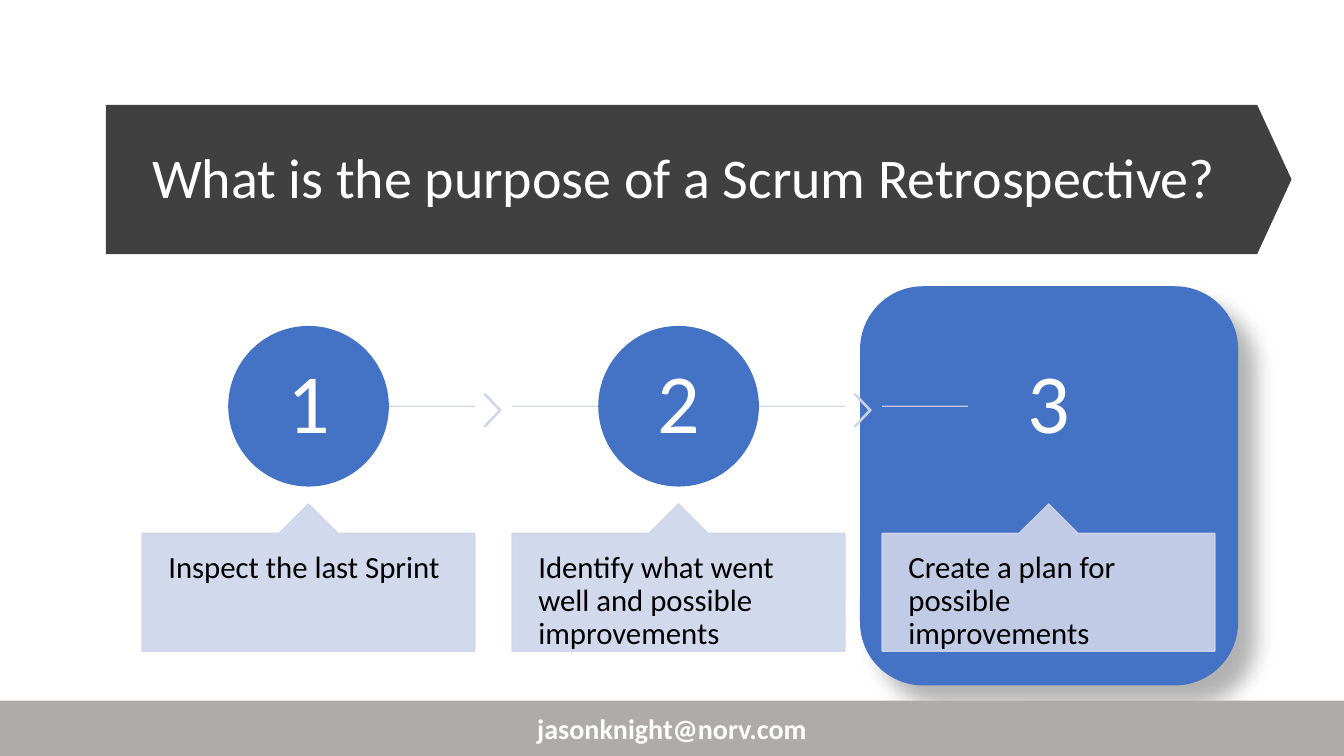
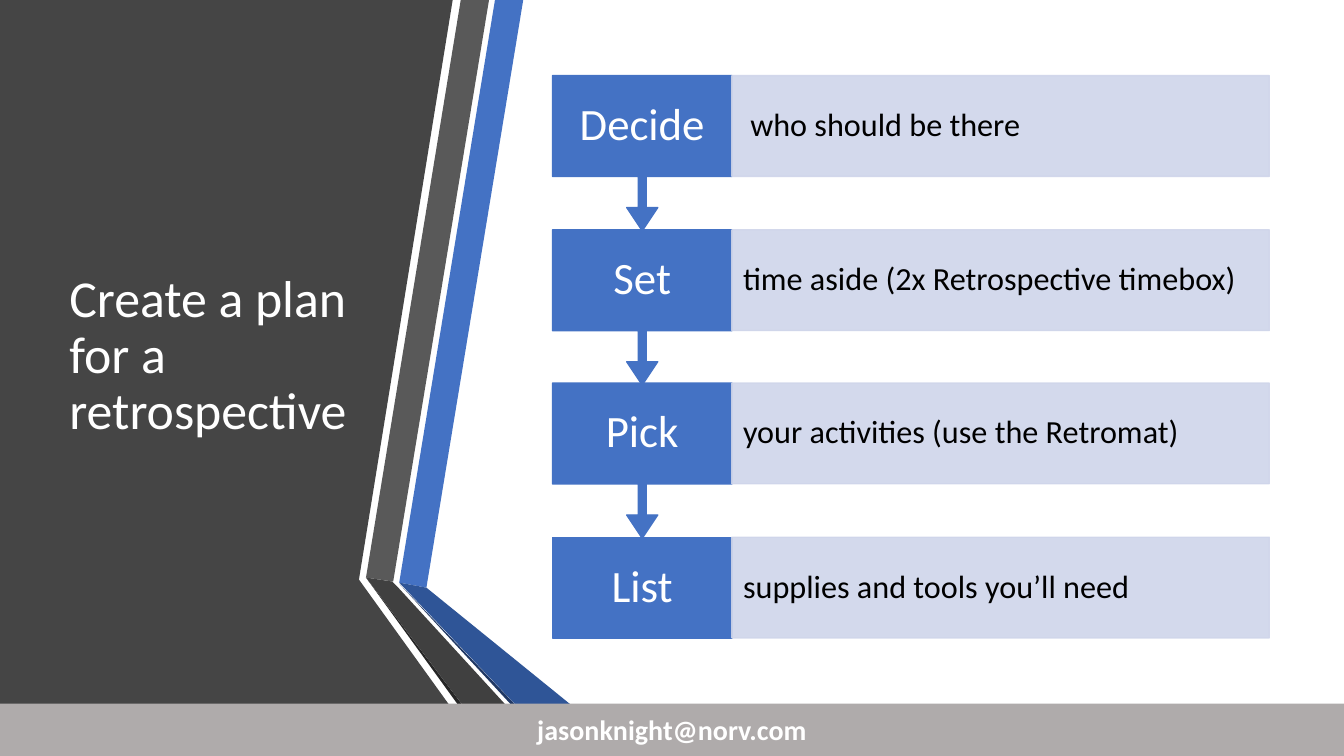
from typing import NamedTuple

from lxml import etree
from pptx import Presentation
from pptx.dml.color import RGBColor
from pptx.enum.shapes import MSO_CONNECTOR, MSO_SHAPE
from pptx.enum.text import MSO_ANCHOR, PP_ALIGN
from pptx.oxml.ns import qn
from pptx.util import Emu, Pt

PX = 9144  # EMU per px, 100 px to the inch
WIDTH, HEIGHT = 1333, 750

FONT = "Calibri"
EMAIL = "jasonknight@norv.com"

WHITE = RGBColor(0xFF, 0xFF, 0xFF)
BLACK = RGBColor(0x00, 0x00, 0x00)
BLUE = RGBColor(0x44, 0x72, 0xC4)
DEEP_BLUE = RGBColor(0x2F, 0x55, 0x97)
NAVY = RGBColor(0x20, 0x38, 0x64)
PALE_BLUE = RGBColor(0xCF, 0xD5, 0xEA)
FOOTER_GREY = RGBColor(0xAF, 0xAB, 0xAB)
PANEL_GREY = RGBColor(0x45, 0x45, 0x45)
BAND_GREY = RGBColor(0x59, 0x59, 0x59)
DARK_GREY = RGBColor(0x40, 0x40, 0x40)
NEAR_BLACK = RGBColor(0x26, 0x26, 0x26)

RECT = MSO_SHAPE.RECTANGLE
ROUND_RECT = MSO_SHAPE.ROUNDED_RECTANGLE
OVAL = MSO_SHAPE.OVAL
CHEVRON = MSO_SHAPE.CHEVRON
BANNER = MSO_SHAPE.PENTAGON
UP_CALLOUT = MSO_SHAPE.UP_ARROW_CALLOUT
DOWN_CALLOUT = MSO_SHAPE.DOWN_ARROW_CALLOUT
STRAIGHT = MSO_CONNECTOR.STRAIGHT
LEFT, CENTER = PP_ALIGN.LEFT, PP_ALIGN.CENTER
TOP, MIDDLE = MSO_ANCHOR.TOP, MSO_ANCHOR.MIDDLE


class Box(NamedTuple):
    left: int
    top: int
    width: int
    height: int

    def emu(self) -> list[Emu]:
        return [Emu(v * PX) for v in self]


class TextStyle(NamedTuple):
    size: int
    color: RGBColor = WHITE
    align: PP_ALIGN = CENTER
    anchor: MSO_ANCHOR = MIDDLE
    inset_x: int = 10
    inset_y: int = 5
    spacing: float = 0.9
    bold: bool = False


class Facet(NamedTuple):
    color: RGBColor
    points: list[tuple[int, int]]


class PlanRow(NamedTuple):
    verb: str
    detail: str


FOOTER_STYLE = TextStyle(20, spacing=1.0, bold=True)
NUMBER_STYLE = TextStyle(60, inset_x=6, inset_y=6)
PURPOSE_STYLE = TextStyle(22, BLACK, LEFT, TOP, 26, 18)
VERB_STYLE = TextStyle(32, inset_x=13)
DETAIL_STYLE = TextStyle(23, BLACK, LEFT, inset_x=11)

PURPOSES = [
    "Inspect the last Sprint",
    "Identify what went well and possible improvements",
    "Create a plan for possible improvements",
]
PLAN = [
    PlanRow("Decide", " who should be there"),
    PlanRow("Set", "time aside (2x Retrospective timebox)"),
    PlanRow("Pick", "your activities (use the Retromat)"),
    PlanRow("List", "supplies and tools you’ll need"),
]
FACETS = [
    Facet(PANEL_GREY, [(0, 0), (449, 0), (356, 575), (482, 750), (0, 750)]),
    Facet(BLUE, [(396, 578), (423, 583), (519, 0), (491, 0)]),
    Facet(BAND_GREY, [(485, 0), (457, 0), (363, 573), (390, 577)]),
    Facet(NEAR_BLACK, [(363, 573), (491, 750), (497, 750)]),
    Facet(NAVY, [(396, 579), (554, 750), (560, 750)]),
    Facet(DEEP_BLUE, [(396, 578), (560, 750), (629, 750), (423, 583)]),
    Facet(DARK_GREY, [(548, 750), (395, 583), (389, 577), (363, 573), (497, 750)]),
]


def set_alpha(color_parent, percent: int) -> None:
    """Make the solid colour found under an element partly transparent."""
    for color in color_parent.iter(qn("a:srgbClr")):
        etree.SubElement(color, qn("a:alpha"), val=str(percent * 1000))


def write_text(sp, text: str, style: TextStyle) -> None:
    tf = sp.text_frame
    tf.word_wrap = True
    tf.vertical_anchor = style.anchor
    tf.margin_left = tf.margin_right = Emu(style.inset_x * PX)
    tf.margin_top = tf.margin_bottom = Emu(style.inset_y * PX)
    p = tf.paragraphs[0]
    p.text = text
    p.alignment = style.align
    p.line_spacing = style.spacing
    font = p.runs[0].font
    font.name, font.size, font.bold = FONT, Pt(style.size), style.bold
    font.color.rgb = style.color


def paint(sp, color: RGBColor, outlined: bool = False) -> None:
    sp.shadow.inherit = False
    sp.fill.solid()
    sp.fill.fore_color.rgb = color
    if outlined:
        sp.line.color.rgb = color
        sp.line.width = Pt(1)
    else:
        sp.line.fill.background()
    if color == PALE_BLUE:
        set_alpha(sp.element.spPr, 90)


def add_block(s, kind: MSO_SHAPE, box: Box, color: RGBColor,
              adjust: tuple[float, ...] = (), outlined: bool = True):
    sp = s.shapes.add_shape(kind, *box.emu())
    for i, value in enumerate(adjust):
        sp.adjustments[i] = value
    paint(sp, color, outlined)
    return sp


def add_title(s, box: Box, text: str, size: int) -> None:
    write_text(s.shapes.add_textbox(*box.emu()), text, TextStyle(size, align=LEFT))


def add_footer(s, top: int) -> None:
    bar = add_block(s, RECT, Box(0, top, WIDTH, HEIGHT - top), FOOTER_GREY,
                    outlined=False)
    write_text(bar, EMAIL, FOOTER_STYLE)


def add_step_line(s, x1: int, x2: int, y: int) -> None:
    line = s.shapes.add_connector(STRAIGHT, *Box(x1, y, x2, y).emu())
    line.line.color.rgb = PALE_BLUE
    line.line.width = Pt(1)
    sp_pr = line.element.spPr
    set_alpha(sp_pr, 90)
    etree.SubElement(sp_pr, qn("a:effectLst"))


def add_highlight(s) -> None:
    """Draw the shadowed panel behind the last step."""
    panel = add_block(s, ROUND_RECT, Box(853, 284, 375, 396), BLUE, outlined=False)
    effects = panel.element.spPr.find(qn("a:effectLst"))
    shadow = etree.SubElement(effects, qn("a:outerShdw"), blurRad=str(Pt(15)),
                              dist=str(Pt(18)), dir=str(45 * 60000),
                              algn="tl", rotWithShape="0")
    color = etree.SubElement(shadow, qn("a:srgbClr"), val=str(BLACK))
    etree.SubElement(color, qn("a:alpha"), val="30000")


def add_purpose_step(s, index: int, text: str) -> None:
    left, width, diameter, line_y = 141 + 367 * index, 330, 158, 403
    last = index == len(PURPOSES) - 1
    center = left + width // 2
    add_step_line(s, left if index else center,
                  center - diameter // 2 if last else left + width, line_y)
    if not last:
        add_block(s, CHEVRON, Box(left + 339, 391, 17, 32), PALE_BLUE, (0.9,))
    circle = add_block(s, OVAL, Box(center - diameter // 2, line_y - diameter // 2,
                                    diameter, diameter), BLUE)
    write_text(circle, str(index + 1), NUMBER_STYLE)
    card = add_block(s, UP_CALLOUT, Box(left, 500, width, 146), PALE_BLUE,
                     (0.5, 0.2, 0.2, 1.0))
    write_text(card, text, PURPOSE_STYLE)


def add_plan_row(s, index: int, row: PlanRow) -> None:
    first, final, left, width, height = 75, 533, 548, 178, 100
    last = index == len(PLAN) - 1
    top = first + round(index * (final - first) / (len(PLAN) - 1))
    if last:
        verb = add_block(s, RECT, Box(left, top, width, height), BLUE)
    else:
        verb = add_block(s, DOWN_CALLOUT, Box(left, top, width, 154), BLUE,
                         (0.05, 0.1, 0.15, 0.65))
    write_text(verb, row.verb, VERB_STYLE)
    detail = add_block(s, RECT, Box(left + width, top, 533, height), PALE_BLUE)
    write_text(detail, row.detail, DETAIL_STYLE)


def add_facet(s, facet: Facet) -> None:
    start, *rest = facet.points
    builder = s.shapes.build_freeform(*start, scale=PX)
    builder.add_line_segments(rest, close=True)
    paint(builder.convert_to_shape(), facet.color)


def build_purpose_slide(s) -> None:
    add_highlight(s)
    add_block(s, BANNER, Box(105, 104, 1176, 148), DARK_GREY, (0.23,), outlined=False)
    add_title(s, Box(141, 132, 1096, 94),
              "What is the purpose of a Scrum Retrospective?", 40)
    for i, text in enumerate(PURPOSES):
        add_purpose_step(s, i, text)
    add_footer(s, 695)


def build_plan_slide(s) -> None:
    for facet in FACETS:
        add_facet(s, facet)
    add_title(s, Box(59, 75, 304, 558), "Create a plan for a retrospective", 37)
    for i, row in reversed(list(enumerate(PLAN))):
        add_plan_row(s, i, row)
    add_footer(s, 698)


def main() -> None:
    prs = Presentation()
    prs.slide_width, prs.slide_height = Emu(WIDTH * PX), Emu(HEIGHT * PX)
    blank = prs.slide_layouts[6]
    for build in (build_purpose_slide, build_plan_slide):
        build(prs.slides.add_slide(blank))
    prs.save("out.pptx")


if __name__ == "__main__":
    main()
